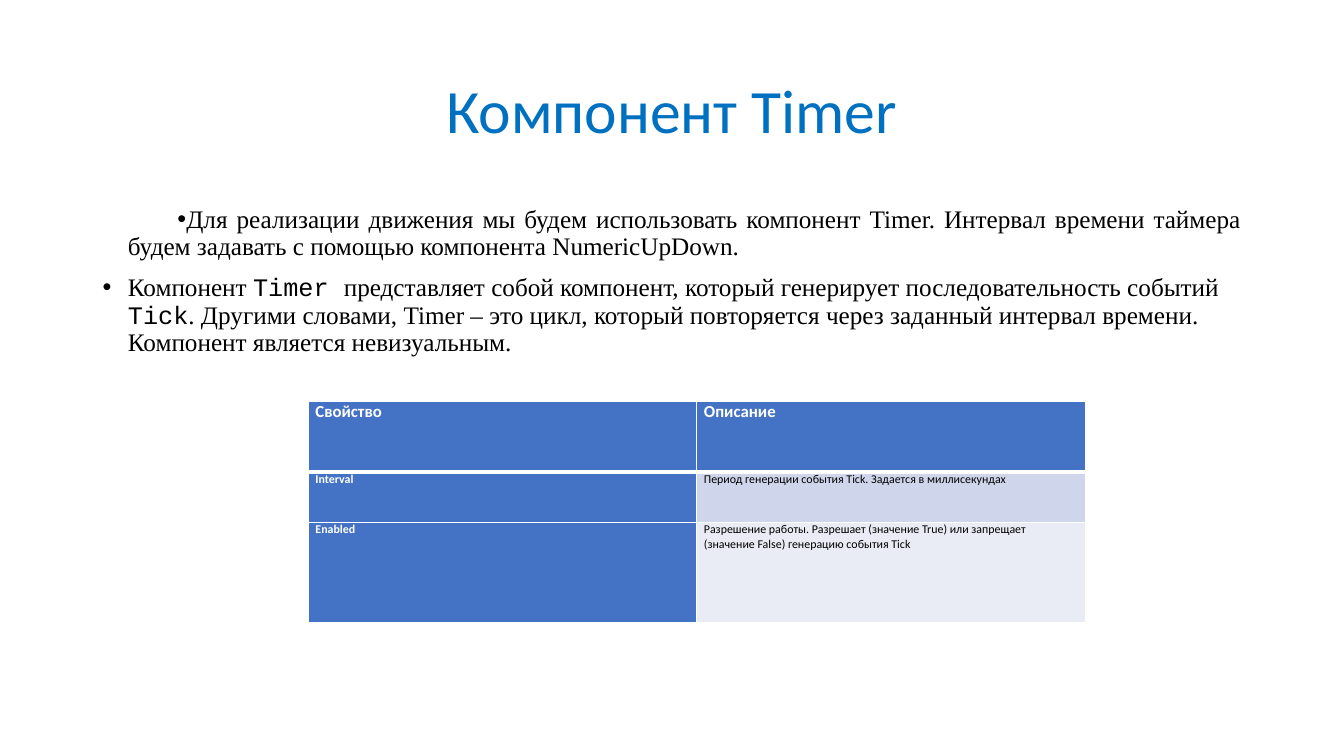
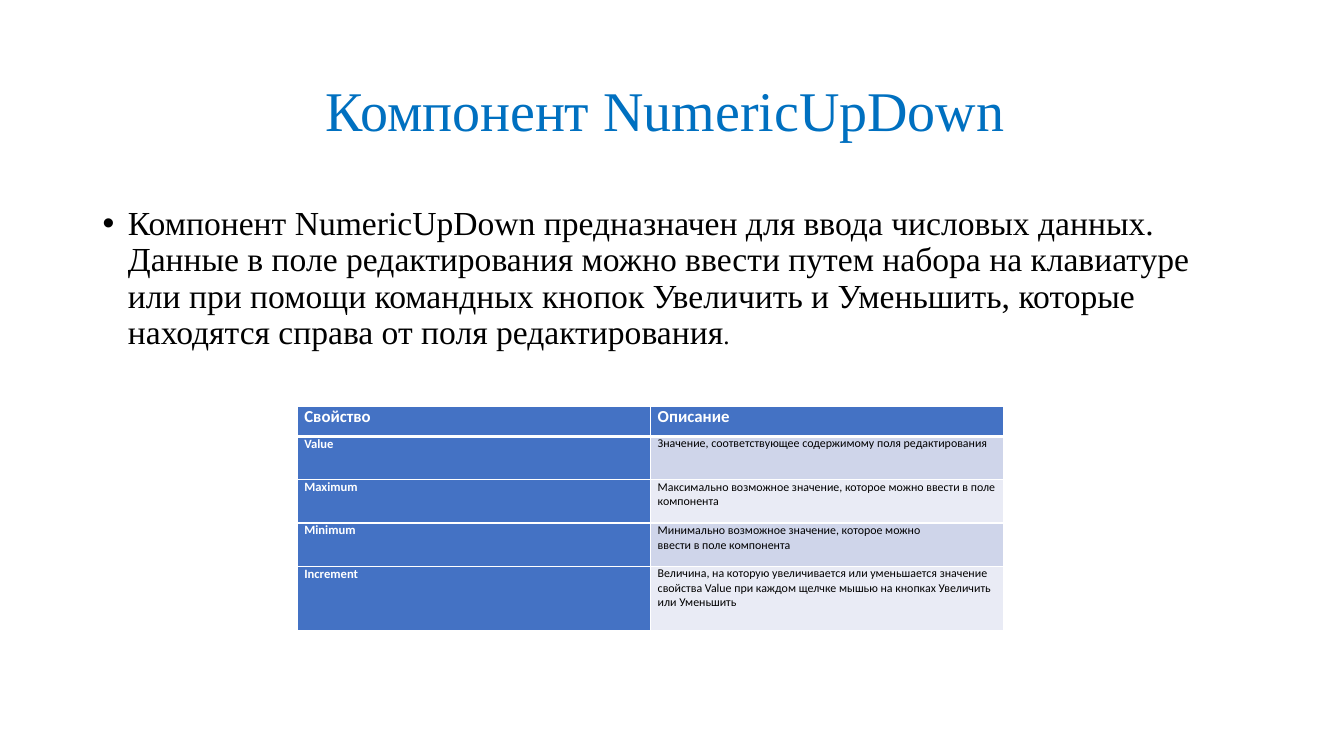
"""Build two slides on the Timer and NumericUpDown components."""
import pptx
import pptx.dml.color
import pptx.enum.text
import pptx.oxml
import pptx.oxml.ns
import pptx.util

Cm = pptx.util.Cm
Pt = pptx.util.Pt
RGBColor = pptx.dml.color.RGBColor
ALIGN = pptx.enum.text.PP_ALIGN
ANCHOR = pptx.enum.text.MSO_ANCHOR

BLACK = RGBColor(0x00, 0x00, 0x00)
WHITE = RGBColor(0xFF, 0xFF, 0xFF)
AZURE = RGBColor(0x00, 0x70, 0xC0)
BLUE = RGBColor(0x44, 0x72, 0xC4)
BANDS = (RGBColor(0xCF, 0xD5, 0xEA), RGBColor(0xE9, 0xEB, 0xF5))

SANS = "Calibri"
SERIF = "Times New Roman"
MONO = "Courier New"

HEAD = ("Свойство", "Описание")
TIMER = (
    ("Interval", "Период генерации события Tick. Задается в миллисекундах"),
    ("Enabled", "Разрешение работы. Разрешает (значение True) или запрещает "
                "(значение False) генерацию события Tick"),
)
NUMERIC = (
    ("Value", "Значение, соответствующее содержимому поля редактирования"),
    ("Maximum", "Максимально возможное значение, которое можно ввести в поле компонента"),
    ("Minimum", "Минимально возможное значение, которое можно\nввести в поле компонента"),
    ("Increment", "Величина, на которую увеличивается или уменьшается значение свойства "
                  "Value при каждом щелчке мышью на кнопках Увеличить или Уменьшить"),
)


def write(para, text, size=18, font=SERIF, color=BLACK, bold=False, align=None):
    """Add one formatted run to a paragraph."""
    run = para.add_run()
    run.text = text
    run.font.size = Pt(size)
    run.font.name = font
    run.font.bold = bold
    run.font.color.rgb = color
    if align is not None:
        para.alignment = align


def grow(frame, first):
    """Return the first paragraph of a frame or a new one."""
    return frame.paragraphs[0] if first else frame.add_paragraph()


def place(shape, top, height):
    """Set a placeholder on the slide grid and return its text frame."""
    shape.left, shape.top = Cm(2.33), Cm(top)
    shape.width, shape.height = Cm(29.21), Cm(height)
    frame = shape.text_frame
    frame.word_wrap = True
    frame.auto_size = pptx.enum.text.MSO_AUTO_SIZE.NONE
    return frame


def add_page(deck, title, **style):
    """Add a slide with its title and return it with its body frame."""
    page = deck.slides.add_slide(deck.slide_layouts[1])
    frame = place(page.shapes.title, 1.01, 3.68)
    frame.vertical_anchor = ANCHOR.MIDDLE
    para = frame.paragraphs[0]
    para.line_spacing = 0.9
    write(para, title, color=AZURE, align=ALIGN.CENTER, **style)
    body = place(page.placeholders[1], 5.08, 12.09)
    body.vertical_anchor = ANCHOR.TOP
    return page, body


def add_point(frame, runs, first=True, indent=-0.64, align=ALIGN.LEFT):
    """Add a bulleted paragraph made of text and format pairs."""
    para = grow(frame, first)
    props = para._p.get_or_add_pPr()
    props.set("marL", str(Cm(0.64)))
    props.set("indent", str(Cm(indent)))
    for tag, key, value in (("buFont", "typeface", "Arial"), ("buChar", "char", "•")):
        mark = pptx.oxml.parse_xml(f'<a:{tag} {pptx.oxml.ns.nsdecls("a")} {key}="{value}"/>')
        props.append(mark)
    para.line_spacing = 0.9
    para.space_before = Pt(0 if first else 10)
    for text, style in runs:
        write(para, text, align=align, **style)


def edge(cell, **widths):
    """Draw white cell borders of the given widths in points."""
    props = cell._tc.get_or_add_tcPr()
    for spot, (side, width) in enumerate(widths.items()):
        props.insert(spot, pptx.oxml.parse_xml(
            f'<a:ln{side} {pptx.oxml.ns.nsdecls("a")} w="{Pt(width)}">'
            f'<a:solidFill><a:srgbClr val="{WHITE}"/></a:solidFill></a:ln{side}>'))


def fill_cell(cell, text, fill, align, **style):
    """Fill a cell with colour and one paragraph for each text line."""
    cell.margin_left = cell.margin_right = Cm(0.18)
    cell.margin_top = cell.margin_bottom = 0
    cell.fill.solid()
    cell.fill.fore_color.rgb = fill
    for num, line in enumerate(text.split("\n")):
        write(grow(cell.text_frame, num == 0), line, font=SANS, align=align, **style)


def add_grid(page, rows, left, top, width, heights, size):
    """Add a property table with a header row and a dark first column."""
    data = (HEAD, *rows)
    shape = page.shapes.add_table(len(data), 2, Cm(left), Cm(top), Cm(width), Cm(sum(heights)))
    table = shape.table
    for row, (pair, height) in enumerate(zip(data, heights)):
        table.rows[row].height = Cm(height)
        for col, text in enumerate(pair):
            cell = table.cell(row, col)
            if row == 0 or col == 0:
                fill_cell(cell, text, BLUE, ALIGN.JUSTIFY, color=WHITE, bold=True,
                          size=size if row else 12)
            else:
                fill_cell(cell, text, BANDS[(row - 1) % 2], ALIGN.LEFT, size=8.5)
            edge(cell, L=1, R=1, T=3 if row == 1 else 1, B=1 if row else 3)


def show_timer(deck):
    """Build the slide on the Timer component."""
    page, body = add_page(deck, "Компонент Timer", size=44, font=SANS)
    add_point(body, [
        ("Для реализации движения мы будем использовать компонент Timer. Интервал времени "
         "таймера будем задавать с помощью компонента NumericUpDown.", {}),
    ], indent=1.25, align=ALIGN.JUSTIFY)
    add_point(body, [
        ("Компонент ", {}),
        ("Timer ", {"font": MONO}),
        ("представляет собой компонент, который генерирует последовательность событий ", {}),
        ("Tick", {"font": MONO}),
        (". Другими словами, Timer – это цикл, который повторяется через заданный интервал "
         "времени. Компонент является невизуальным.", {}),
    ], first=False)
    add_grid(page, TIMER, 7.77, 10.11, 19.58, (1.78, 1.27, 2.54), 8.5)


def show_count(deck):
    """Build the slide on the NumericUpDown component."""
    page, body = add_page(deck, "Компонент NumericUpDown ", size=40)
    add_point(body, [
        ("Компонент NumericUpDown предназначен для ввода числовых данных. Данные в поле "
         "редактирования можно ввести путем набора на клавиатуре или при помощи командных "
         "кнопок Увеличить и Уменьшить, которые находятся справа от поля редактирования",
         {"size": 24}),
        (".", {}),
    ])
    add_grid(page, NUMERIC, 7.49, 10.24, 17.81, (0.76, 1.09, 1.09, 1.09, 1.63), 9)


def main():
    """Build and save the deck."""
    deck = pptx.Presentation()
    deck.slide_width, deck.slide_height = Cm(33.87), Cm(19.05)
    show_timer(deck)
    show_count(deck)
    deck.save("out.pptx")


if __name__ == "__main__":
    main()
